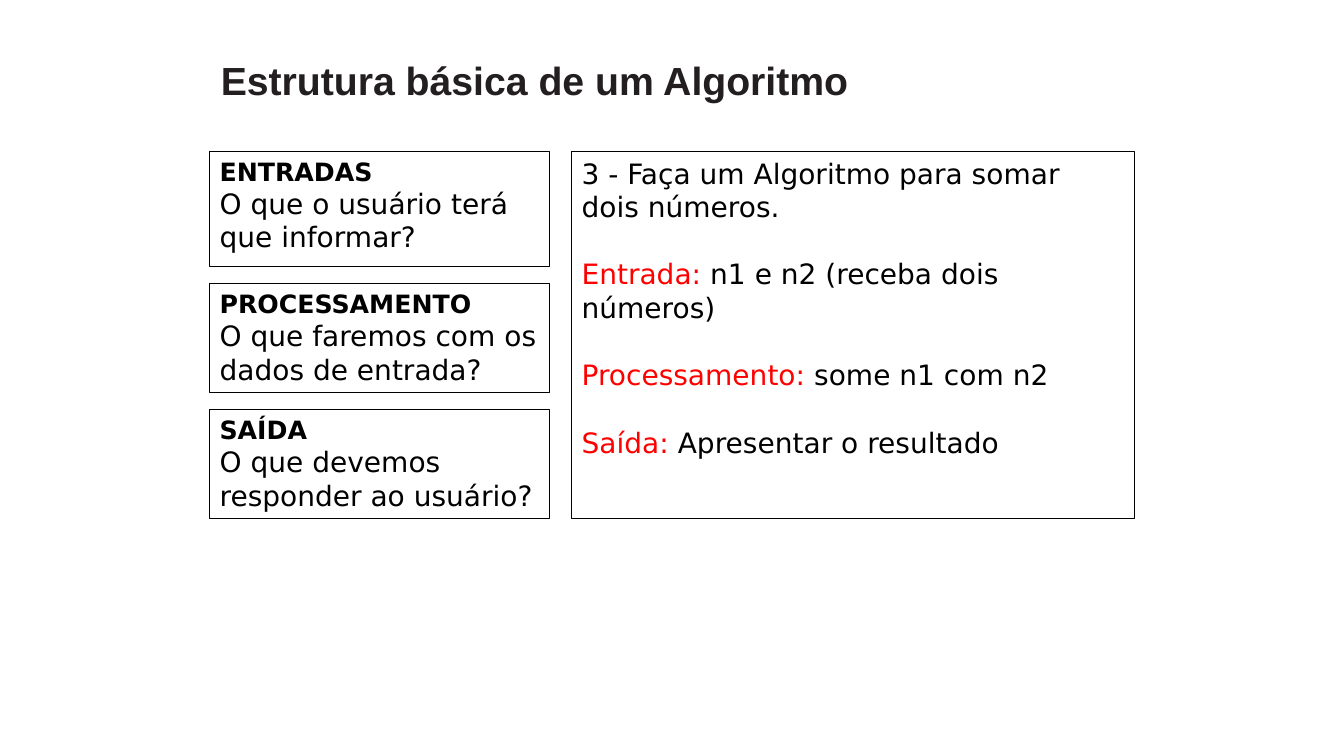
import pptx
import pptx.dml.color
import pptx.enum.shapes
import pptx.enum.text
import pptx.util

In, Pt = pptx.util.Inches, pptx.util.Pt
COLORS = {"white": "FFFFFF", "black": "000000", "red": "FF0000", "title": "231F20"}
BODY_FONT, TITLE_FONT = "DejaVu Sans", "Arial"

# Grid: two columns sharing one top and one bottom edge
LEFT, TOP, BOTTOM = 2.08, 1.5, 5.14
STEP_W, STEP_GAP = 3.37, 0.17
STEP_HEIGHTS = (1.14, 1.08, 1.08)
EXAMPLE_LEFT, EXAMPLE_W = 5.67, 5.58

STEPS = [
    ("ENTRADAS", "O que o usuário terá que informar?"),
    ("PROCESSAMENTO", "O que faremos com os dados de entrada?"),
    ("SAÍDA", "O que devemos responder ao usuário?"),
]
EXAMPLE_TASK = "3 - Faça um Algoritmo para somar dois números."
EXAMPLE_PARTS = [
    ("Entrada:", " n1 e n2 (receba dois números)"),
    ("Processamento:", " some n1 com n2"),
    ("Saída: ", "Apresentar o resultado"),
]


def rgb(name):
    return pptx.dml.color.RGBColor.from_string(COLORS[name])


def add_run(p, text, size=20, color="black", bold=False, font=BODY_FONT):
    r = p.add_run()
    r.text = text
    r.font.name, r.font.size, r.font.bold = font, Pt(size), bold
    r.font.color.rgb = rgb(color)


def add_paragraph(tf, first=False):
    p = tf.paragraphs[0] if first else tf.add_paragraph()
    p.alignment = pptx.enum.text.PP_ALIGN.LEFT
    return p


def set_frame(tf, bottom=0.05):
    tf.word_wrap = True
    tf.auto_size = pptx.enum.text.MSO_AUTO_SIZE.NONE
    tf.vertical_anchor = pptx.enum.text.MSO_ANCHOR.TOP
    tf.margin_left = tf.margin_right = In(0.1)
    tf.margin_top, tf.margin_bottom = In(0.05), In(bottom)


def add_panel(s, x, y, w, h, bottom=0.05):
    """Draw an outlined white box and return its text frame."""
    sp = s.shapes.add_shape(pptx.enum.shapes.MSO_SHAPE.RECTANGLE,
                            In(x), In(y), In(w), In(h))
    sp.shadow.inherit = False
    sp.fill.solid()
    sp.fill.fore_color.rgb = rgb("white")
    sp.line.color.rgb = rgb("black")
    sp.line.width = Pt(0.75)
    set_frame(sp.text_frame, bottom)
    return sp.text_frame


def add_title(s, x, y, w, h):
    sp = s.shapes.title
    sp.left, sp.top, sp.width, sp.height = In(x), In(y), In(w), In(h)
    set_frame(sp.text_frame)
    add_run(add_paragraph(sp.text_frame, first=True),
            "Estrutura básica de um Algoritmo", 28, "title", True, TITLE_FONT)


def add_steps(s, x, y, w):
    for (heading, question), h in zip(STEPS, STEP_HEIGHTS):
        tf = add_panel(s, x, y, w, h, bottom=0)
        add_run(add_paragraph(tf, first=True), heading, 18, bold=True)
        add_run(add_paragraph(tf), question)
        y += h + STEP_GAP


def add_example(s, x, y, w, h):
    tf = add_panel(s, x, y, w, h)
    add_run(add_paragraph(tf, first=True), EXAMPLE_TASK)
    for label, answer in EXAMPLE_PARTS:
        p = add_paragraph(tf)
        p.space_before = Pt(24)
        add_run(p, label, color="red")
        add_run(p, answer)


def main():
    prs = pptx.Presentation()
    prs.slide_width, prs.slide_height = In(13.33), In(7.5)
    s = prs.slides.add_slide(prs.slide_layouts[5])  # title only
    add_title(s, LEFT + 0.01, 0.51, 7.99, 0.57)
    add_steps(s, LEFT, TOP, STEP_W)
    add_example(s, EXAMPLE_LEFT, TOP, EXAMPLE_W, BOTTOM - TOP)
    prs.save("out.pptx")


if __name__ == "__main__":
    main()
